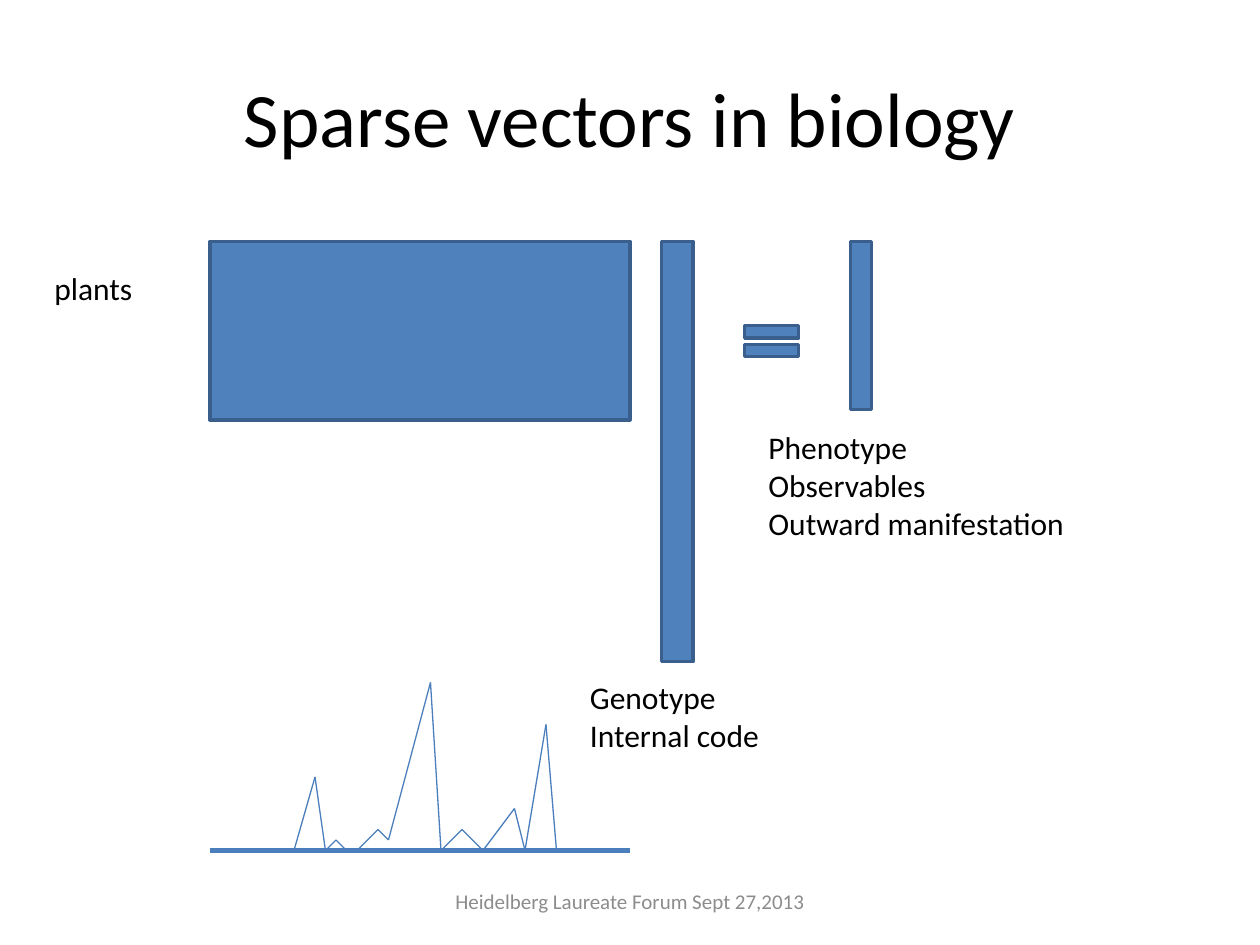
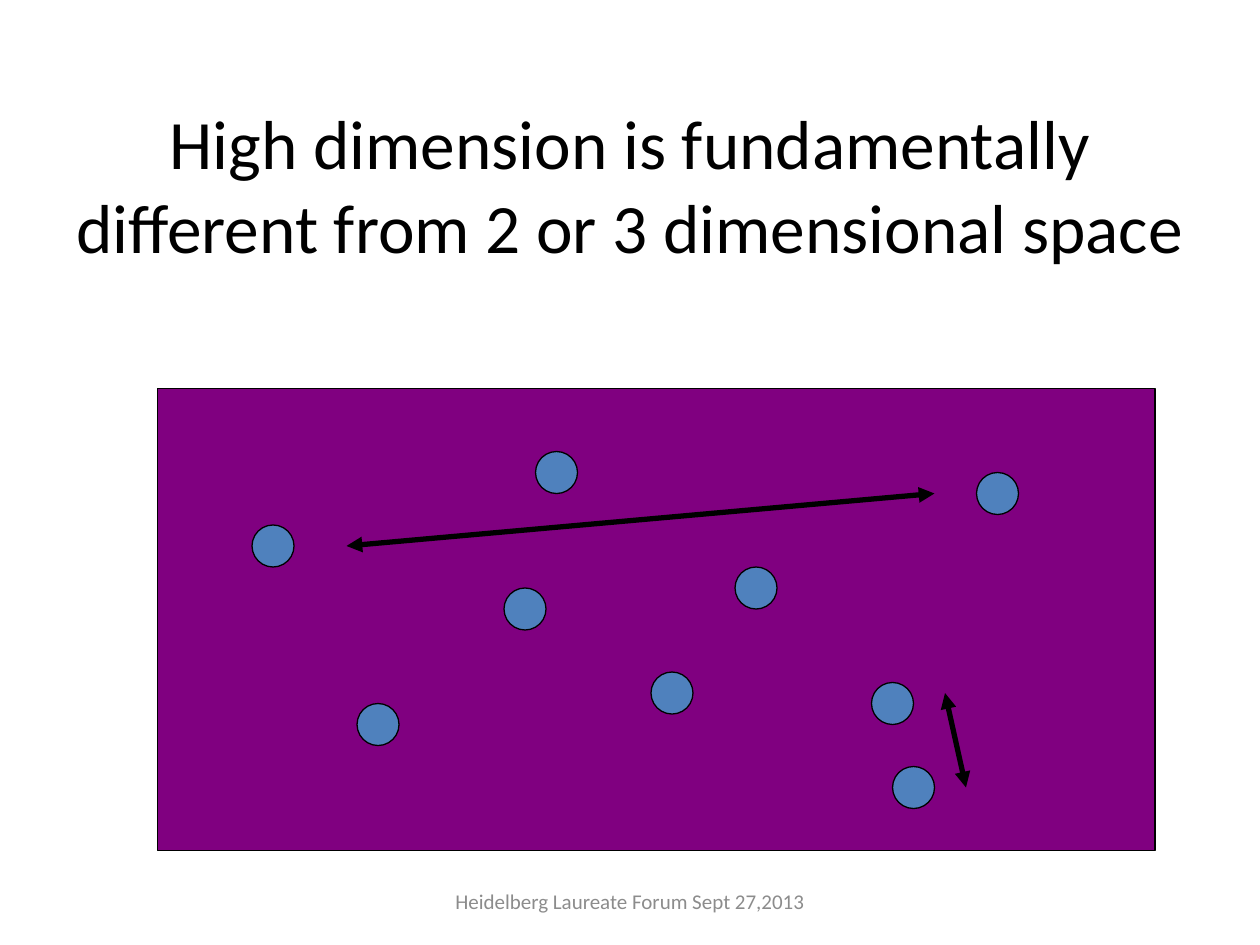
"""Builds two slides on sparse vectors and high-dimensional space."""
from itertools import pairwise

from lxml import etree
from pptx import Presentation
from pptx.dml.color import RGBColor
from pptx.enum.shapes import MSO_CONNECTOR, MSO_SHAPE
from pptx.enum.text import MSO_ANCHOR, MSO_AUTO_SIZE, PP_ALIGN
from pptx.oxml.ns import qn
from pptx.util import Pt

RECTANGLE, OVAL, EQUALS = MSO_SHAPE.RECTANGLE, MSO_SHAPE.OVAL, MSO_SHAPE.MATH_EQUAL
STRAIGHT = MSO_CONNECTOR.STRAIGHT
LEFT, CENTER = PP_ALIGN.LEFT, PP_ALIGN.CENTER
TOP, MIDDLE = MSO_ANCHOR.TOP, MSO_ANCHOR.MIDDLE
NO_FIT, GROW = MSO_AUTO_SIZE.NONE, MSO_AUTO_SIZE.SHAPE_TO_FIT_TEXT

BLUE = RGBColor(0x4F, 0x81, 0xBD)
DARK_BLUE = RGBColor(0x3A, 0x5F, 0x8C)
LINE_BLUE = RGBColor(0x4B, 0x7E, 0xBC)
PURPLE = RGBColor(0x80, 0x00, 0x80)
BLACK = RGBColor(0, 0, 0)
GRAY = RGBColor(0x8C, 0x8C, 0x8C)
FONT = "Calibri"

FOOTER = "Heidelberg Laureate Forum Sept 27,2013"
FOOTER_BOX = (246, 500.5, 228, 28.75)

SPARSE_TITLE = ("Sparse vectors in biology", (36, 21.6, 648, 90), 44)
EQUATION = [
    (RECTANGLE, (120, 138, 240, 102)),
    (RECTANGLE, (378, 138, 18, 240)),
    (EQUALS, (420, 180, 42, 30)),
    (RECTANGLE, (486, 138, 12, 96)),
]
LABELS = [
    (["plants"], (24, 150, 72, 29)),
    (["Genotype", "Internal code"], (330, 384, 132, 51)),
    (["Phenotype", "Observables", "Outward manifestation"], (432, 241, 234, 72.7)),
]
BASELINE_Y, BASELINE_LEFT, BASELINE_RIGHT = 486, 120, 360
SPECTRUM = [
    [(168, 0), (180, 42), (186, 0), (192, 6), (198, 0)],
    [(204, 0), (216, 12), (222, 6), (246, 96), (252, 0), (264, 12),
     (276, 0), (294, 24), (300, 0), (312, 72), (318, 0)],
]

SPACE_TITLE = ("High dimension is fundamentally different from 2 or 3 dimensional space",
               (36, 68, 648, 74), 39.6)
SPACE_BOX = (90, 222, 570, 264)
POINT_SIZE = 24
POINTS = [(144, 300), (306, 258), (288, 336), (204, 402), (372, 384),
          (420, 324), (498, 390), (510, 438), (558, 270)]
DISTANCES = [((198, 312), (534, 282)), ((540, 396), (552, 450))]


def points(lengths):
    return [Pt(length) for length in lengths]


def write(shape, lines, size, color, align=LEFT, anchor=TOP, fit=NO_FIT):
    frame = shape.text_frame
    frame.text = "\n".join(lines)
    frame.word_wrap = True
    frame.auto_size = fit
    frame.vertical_anchor = anchor
    for paragraph in frame.paragraphs:
        paragraph.alignment = align
        paragraph.font.name = FONT
        paragraph.font.size = Pt(size)
        paragraph.font.color.rgb = color


def add_text(slide, lines, box, *style, **options):
    write(slide.shapes.add_textbox(*points(box)), lines, *style, **options)


def add_slide(presentation, title, box, size):
    slide = presentation.slides.add_slide(presentation.slide_layouts[5])
    heading = slide.shapes.title
    heading.left, heading.top, heading.width, heading.height = points(box)
    write(heading, [title], size, BLACK, CENTER, MIDDLE)
    add_text(slide, [FOOTER], FOOTER_BOX, 12, GRAY, CENTER, MIDDLE)
    return slide


def add_figure(slide, kind, box, fill, line, width):
    shape = slide.shapes.add_shape(kind, *points(box))
    shape.shadow.inherit = False
    shape.fill.solid()
    shape.fill.fore_color.rgb = fill
    shape.line.color.rgb = line
    shape.line.width = Pt(width)


def add_line(slide, start, end, color, width, arrows=False):
    connector = slide.shapes.add_connector(STRAIGHT, *points(start + end))
    connector.line.color.rgb = color
    connector.line.width = Pt(width)
    properties = connector._element.spPr
    if arrows:
        for tag in ("a:headEnd", "a:tailEnd"):
            etree.SubElement(properties.find(qn("a:ln")), qn(tag), type="triangle")
    etree.SubElement(properties, qn("a:effectLst"))


def build_sparse_vectors(presentation):
    slide = add_slide(presentation, *SPARSE_TITLE)
    for kind, box in EQUATION:
        add_figure(slide, kind, box, BLUE, DARK_BLUE, 2)
    add_line(slide, (BASELINE_LEFT, BASELINE_Y), (BASELINE_RIGHT, BASELINE_Y), LINE_BLUE, 3)
    for trace in SPECTRUM:
        vertices = [(x, BASELINE_Y - height) for x, height in trace]
        for start, end in pairwise(vertices):
            add_line(slide, start, end, LINE_BLUE, 0.75)
    for lines, box in LABELS:
        add_text(slide, lines, box, 18, BLACK, fit=GROW)


def build_high_dimension(presentation):
    slide = add_slide(presentation, *SPACE_TITLE)
    add_figure(slide, RECTANGLE, SPACE_BOX, PURPLE, BLACK, 0.75)
    for left, top in POINTS:
        add_figure(slide, OVAL, (left, top, POINT_SIZE, POINT_SIZE), BLUE, BLACK, 0.75)
    for start, end in DISTANCES:
        add_line(slide, start, end, BLACK, 3, arrows=True)


def main():
    presentation = Presentation()
    presentation.slide_width, presentation.slide_height = Pt(720), Pt(540)
    build_sparse_vectors(presentation)
    build_high_dimension(presentation)
    presentation.save("out.pptx")


if __name__ == "__main__":
    main()
